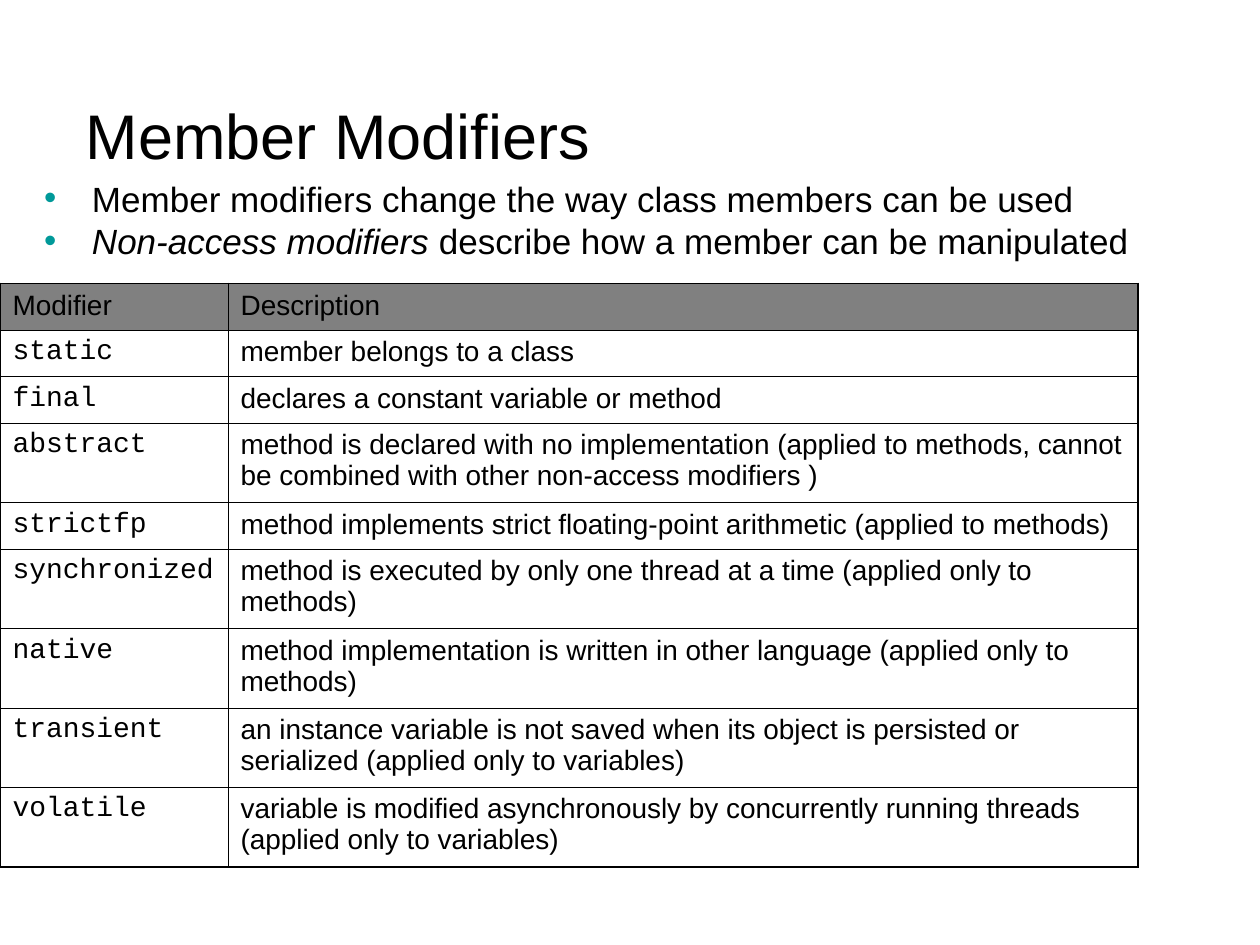
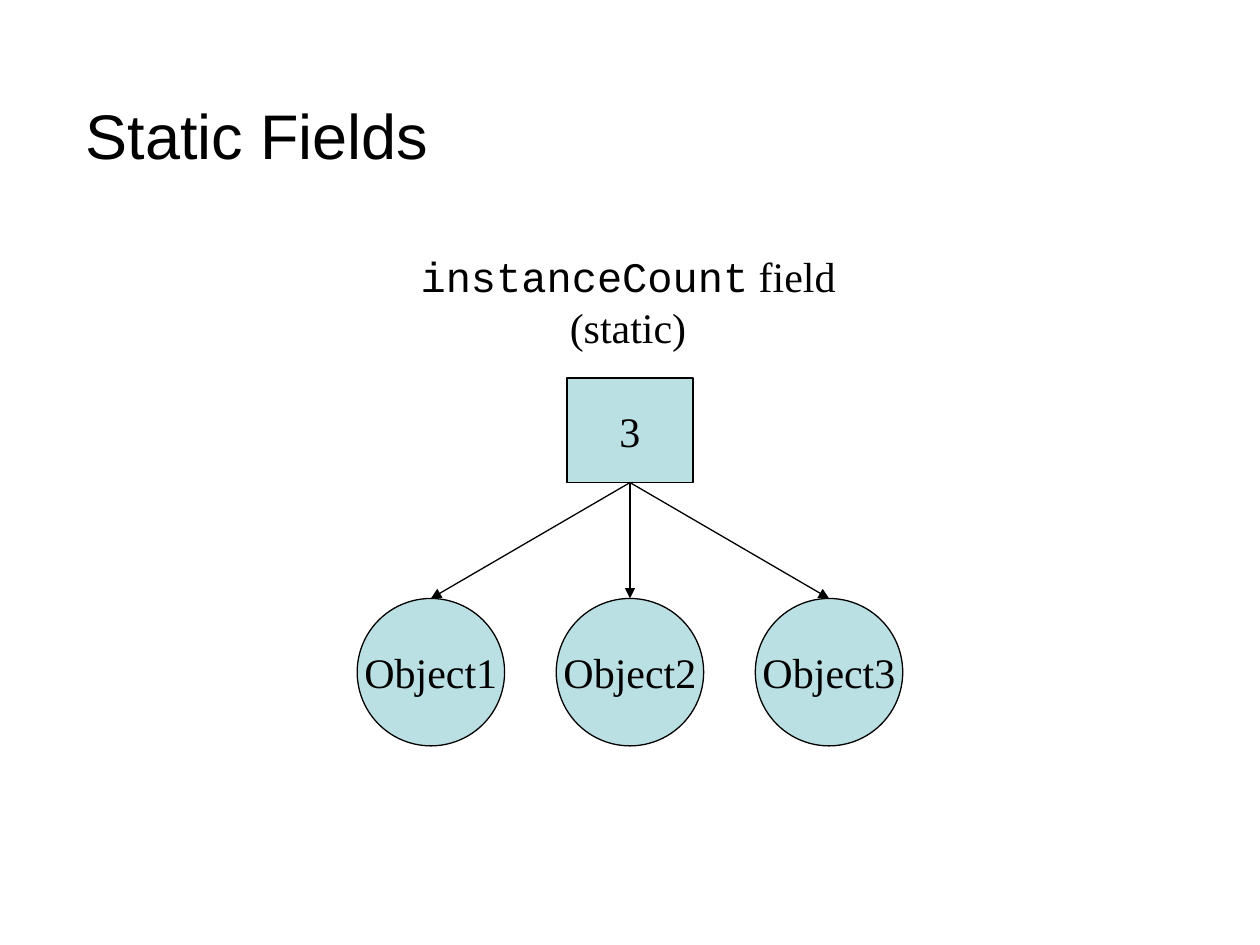
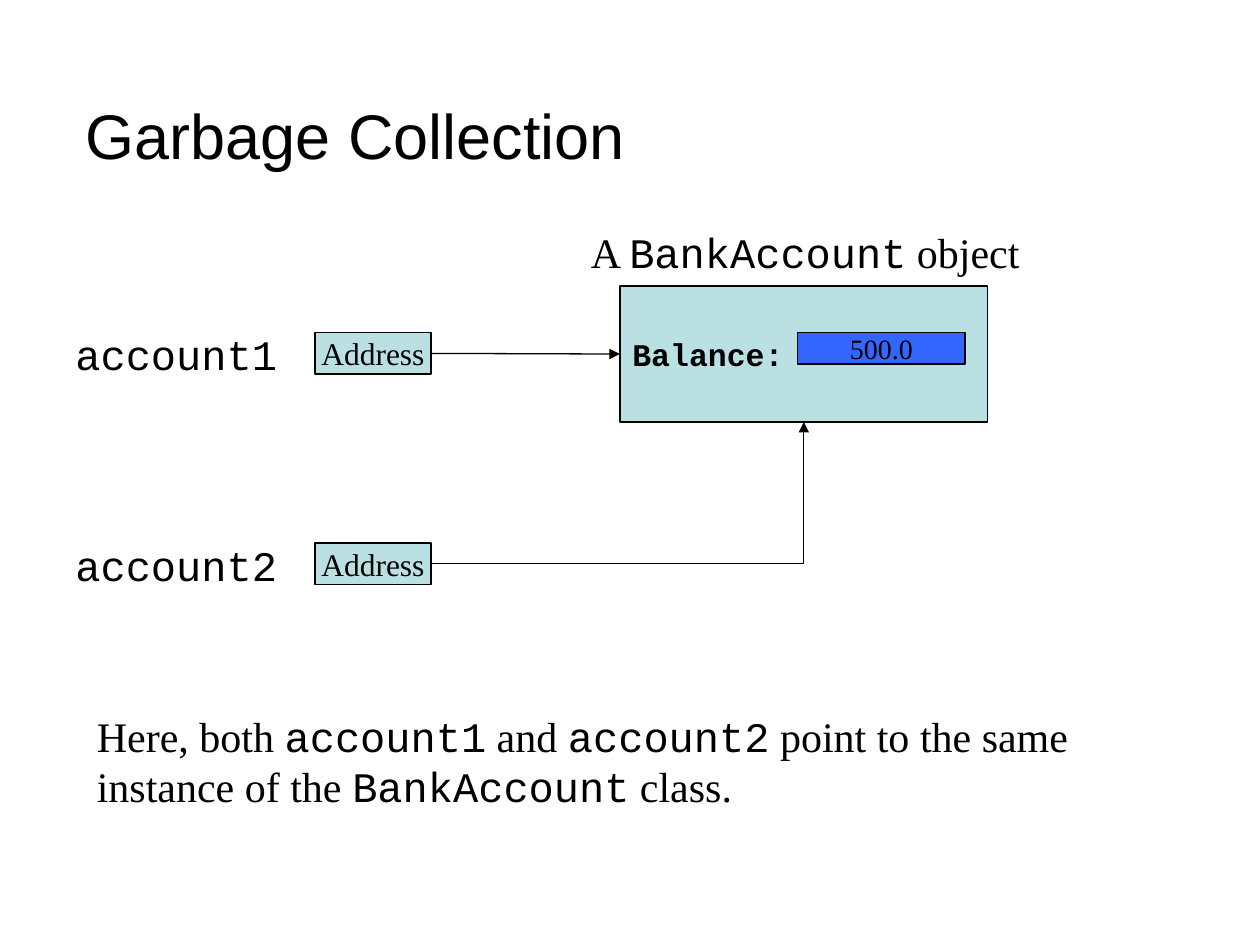
import pptx
import pptx.dml.color
import pptx.enum.shapes
import pptx.enum.text
import pptx.oxml
import pptx.oxml.ns
import pptx.util
from lxml import etree

Inches = pptx.util.Inches
Pt = pptx.util.Pt
RGBColor = pptx.dml.color.RGBColor
PP_ALIGN = pptx.enum.text.PP_ALIGN
MSO_ANCHOR = pptx.enum.text.MSO_ANCHOR
MSO_SHAPE = pptx.enum.shapes.MSO_SHAPE
MSO_CONNECTOR = pptx.enum.shapes.MSO_CONNECTOR
qn = pptx.oxml.ns.qn

BLACK = RGBColor(0x00, 0x00, 0x00)
GRAY = RGBColor(0x80, 0x80, 0x80)
TEAL = RGBColor(0x00, 0x99, 0x99)
PALE_TEAL = RGBColor(0xBB, 0xE0, 0xE3)
BLUE = RGBColor(0x33, 0x66, 0xFF)

SANS = "Arial"
SERIF = "Times New Roman"
CODE = "Courier New"

LAYOUT_CONTENT = 1
LAYOUT_TITLE_ONLY = 5
TOP, LEFT, BOTTOM, RIGHT = range(4)

OUTER_BORDER = 1.08
INNER_BORDER = 0.45
ONE_LINE = 0.37
TWO_LINES = 0.63
MODIFIERS = [
    ("Modifier", "Description", ONE_LINE),
    ("static", "member belongs to a class", ONE_LINE),
    ("final", "declares a constant variable or method", ONE_LINE),
    ("abstract", "method is declared with no implementation (applied to methods, "
     "cannot be combined with other non-access modifiers )", TWO_LINES),
    ("strictfp", "method implements strict floating-point arithmetic "
     "(applied to methods)", ONE_LINE),
    ("synchronized", "method is executed by only one thread at a time "
     "(applied only to methods)", TWO_LINES),
    ("native", "method implementation is written in other language "
     "(applied only to methods)", TWO_LINES),
    ("transient", "an instance variable is not saved when its object is persisted "
     "or serialized (applied only to variables)", TWO_LINES),
    ("volatile", "variable is modified asynchronously by concurrently running "
     "threads (applied only to variables)", TWO_LINES),
]


def place(shape, left, top, width, height):
    """Move and size a shape, in inches."""
    shape.left, shape.top = Inches(left), Inches(top)
    shape.width, shape.height = Inches(width), Inches(height)


def style_font(paragraph, size, name, bold=False):
    """Set the font that all runs of a paragraph share."""
    font = paragraph.font
    font.size, font.name, font.bold = Pt(size), name, bold
    font.color.rgb = BLACK


def add_titled_slide(prs, layout, title_text):
    """Add a slide with the shared title style."""
    slide = prs.slides.add_slide(prs.slide_layouts[layout])
    title = slide.shapes.title
    place(title, 0.58, 0.33, 9.42, 1.09)
    frame = title.text_frame
    frame.text = title_text
    frame.vertical_anchor = MSO_ANCHOR.BOTTOM
    frame.auto_size = pptx.enum.text.MSO_AUTO_SIZE.NONE
    frame.paragraphs[0].alignment = PP_ALIGN.LEFT
    style_font(frame.paragraphs[0], 36, SANS)
    return slide


def set_bullet(paragraph):
    """Give a paragraph a teal bullet with a hanging indent."""
    properties = paragraph._p.get_or_add_pPr()
    properties.set("marL", str(Inches(0.38)))
    properties.set("indent", str(-Inches(0.38)))
    color = etree.SubElement(properties, qn("a:buClr"))
    etree.SubElement(color, qn("a:srgbClr"), val=str(TEAL))
    etree.SubElement(properties, qn("a:buChar"), char="•")


def fill_bullets(body, items):
    """Fill the body with bullets, each a list of (text, italic) pieces."""
    frame = body.text_frame
    frame.auto_size = pptx.enum.text.MSO_AUTO_SIZE.NONE
    for index, pieces in enumerate(items):
        paragraph = frame.add_paragraph() if index else frame.paragraphs[0]
        set_bullet(paragraph)
        paragraph.line_spacing = 0.8
        paragraph.space_before = Pt(5 if index else 0)
        style_font(paragraph, 20, SANS)
        for text, italic in pieces:
            run = paragraph.add_run()
            run.text = text
            run.font.italic = italic


def set_border(cell, side, width):
    """Draw one black border of a table cell."""
    line = etree.SubElement(cell._tc.get_or_add_tcPr(), qn("a:ln" + side),
                            w=str(Pt(width)))
    fill = etree.SubElement(line, qn("a:solidFill"))
    etree.SubElement(fill, qn("a:srgbClr"), val=str(BLACK))


def add_modifier_table(slide, left, top, column_widths):
    """Add the table of modifiers with a gray header row."""
    height = sum(row_height for _, _, row_height in MODIFIERS)
    table = slide.shapes.add_table(
        len(MODIFIERS), len(column_widths), Inches(left), Inches(top),
        Inches(sum(column_widths)), Inches(height)).table
    table.first_row = table.horz_banding = False
    for column, width in zip(table.columns, column_widths):
        column.width = Inches(width)
    last_row, last_column = len(MODIFIERS) - 1, len(column_widths) - 1
    for r, (modifier, description, row_height) in enumerate(MODIFIERS):
        table.rows[r].height = Inches(row_height)
        for c, text in enumerate((modifier, description)):
            cell = table.cell(r, c)
            cell.text = text
            style_font(cell.text_frame.paragraphs[0], 16,
                       CODE if r and c == 0 else SANS)
            at_edge = {"L": c == 0, "R": c == last_column,
                       "T": r == 0, "B": r == last_row}
            for side, outer in at_edge.items():
                set_border(cell, side, OUTER_BORDER if outer else INNER_BORDER)
            if r == 0:
                cell.fill.solid()
                cell.fill.fore_color.rgb = GRAY
            else:
                cell.fill.background()


def add_label(slide, left, top, width, height, lines, align=PP_ALIGN.LEFT):
    """Add a text box of lines, each a list of (text, font name) pieces."""
    label = slide.shapes.add_textbox(Inches(left), Inches(top),
                                     Inches(width), Inches(height))
    frame = label.text_frame
    frame.word_wrap = False
    for index, pieces in enumerate(lines):
        paragraph = frame.add_paragraph() if index else frame.paragraphs[0]
        paragraph.alignment = align
        style_font(paragraph, 24, pieces[0][1])
        for text, name in pieces:
            run = paragraph.add_run()
            run.text = text
            if len(pieces) > 1:
                run.font.name = name


def add_node(slide, kind, left, top, width, height, text, size, fill=PALE_TEAL):
    """Add a filled, outlined shape with centred text."""
    node = slide.shapes.add_shape(kind, Inches(left), Inches(top),
                                  Inches(width), Inches(height))
    node.shadow.inherit = False
    node.fill.solid()
    node.fill.fore_color.rgb = fill
    node.line.color.rgb = BLACK
    node.line.width = Pt(0.75)
    frame = node.text_frame
    frame.text = text
    frame.word_wrap = False
    frame.vertical_anchor = MSO_ANCHOR.MIDDLE
    frame.paragraphs[0].alignment = PP_ALIGN.CENTER
    style_font(frame.paragraphs[0], size, SERIF)
    return node


def add_arrow(slide, source, source_side, target, target_side, bent=False):
    """Join two shapes with an arrow, straight or with one corner."""
    kind = MSO_CONNECTOR.ELBOW if bent else MSO_CONNECTOR.STRAIGHT
    arrow = slide.shapes.add_connector(kind, 0, 0, 0, 0)
    arrow.begin_connect(source, source_side)
    arrow.end_connect(target, target_side)
    arrow.line.color.rgb = BLACK
    arrow.line.width = Pt(0.75)
    properties = arrow._element.spPr
    if bent:
        properties.find(qn("a:prstGeom")).set("prst", "bentConnector2")
    etree.SubElement(properties.find(qn("a:ln")), qn("a:tailEnd"), type="triangle")
    etree.SubElement(properties, qn("a:effectLst"))


def build_member_modifiers(prs):
    """Build the slide that lists the member modifiers."""
    slide = add_titled_slide(prs, LAYOUT_CONTENT, "Member Modifiers")
    body = slide.placeholders[1]
    place(body, 0.25, 1.42, 9.25, 0.92)
    fill_bullets(body, [
        [("Member modifiers change the way class members can be used", False)],
        [("Non-access modifiers", True),
         (" describe how a member can be manipulated", False)],
    ])
    add_modifier_table(slide, 0, 2.25, (1.81, 7.22))


def build_static_fields(prs):
    """Build the slide where three objects share one static field."""
    slide = add_titled_slide(prs, LAYOUT_TITLE_ONLY, "Static Fields")
    add_label(slide, 3.18, 1.94, 3.61, 0.9,
              [[("instanceCount", CODE), (" field", SERIF)], [("(static)", SERIF)]],
              PP_ALIGN.CENTER)
    count = add_node(slide, MSO_SHAPE.RECTANGLE, 4.5, 3, 1, 0.83, "3", 24)
    diameter, pitch = 1.17, 1.58
    for index in range(3):
        left = 5 + (index - 1) * pitch - diameter / 2
        instance = add_node(slide, MSO_SHAPE.OVAL, left, 4.75, diameter, diameter,
                            f"Object{index + 1}", 24)
        add_arrow(slide, count, BOTTOM, instance, TOP)


def build_garbage_collection(prs):
    """Build the slide where two variables refer to one object."""
    slide = add_titled_slide(prs, LAYOUT_TITLE_ONLY, "Garbage Collection")
    add_label(slide, 4.59, 1.75, 3.62, 0.5,
              [[("A ", SERIF), ("BankAccount", CODE), (" object", SERIF)]])
    account = add_node(slide, MSO_SHAPE.RECTANGLE, 4.92, 2.27, 2.92, 1.08,
                       "Balance:", 18)
    account.text_frame.word_wrap = True
    balance = account.text_frame.paragraphs[0]
    balance.alignment = PP_ALIGN.LEFT
    style_font(balance, 18, CODE, bold=True)
    add_node(slide, MSO_SHAPE.RECTANGLE, 6.33, 2.64, 1.33, 0.25, "500.0", 16, BLUE)
    for index, side in enumerate((LEFT, BOTTOM)):
        top = 2.64 + index * 1.67
        add_label(slide, 0.5, top - 0.08, 1.83, 0.5,
                  [[(f"account{index + 1}", CODE)]])
        address = add_node(slide, MSO_SHAPE.RECTANGLE, 2.5, top, 0.92, 0.33,
                           "Address", 18)
        add_arrow(slide, address, RIGHT, account, side, bent=side == BOTTOM)
    add_label(slide, 0.67, 5.59, 7.91, 0.9, [
        [("Here, both ", SERIF), ("account1", CODE), (" and ", SERIF),
         ("account2", CODE), (" point to the same", SERIF)],
        [("instance of the ", SERIF), ("BankAccount", CODE), (" class.", SERIF)],
    ])


def main():
    """Build and save the presentation."""
    prs = pptx.Presentation()
    prs.slide_width, prs.slide_height = Inches(10), Inches(7.5)
    build_member_modifiers(prs)
    build_static_fields(prs)
    build_garbage_collection(prs)
    prs.save("out.pptx")


if __name__ == "__main__":
    main()
